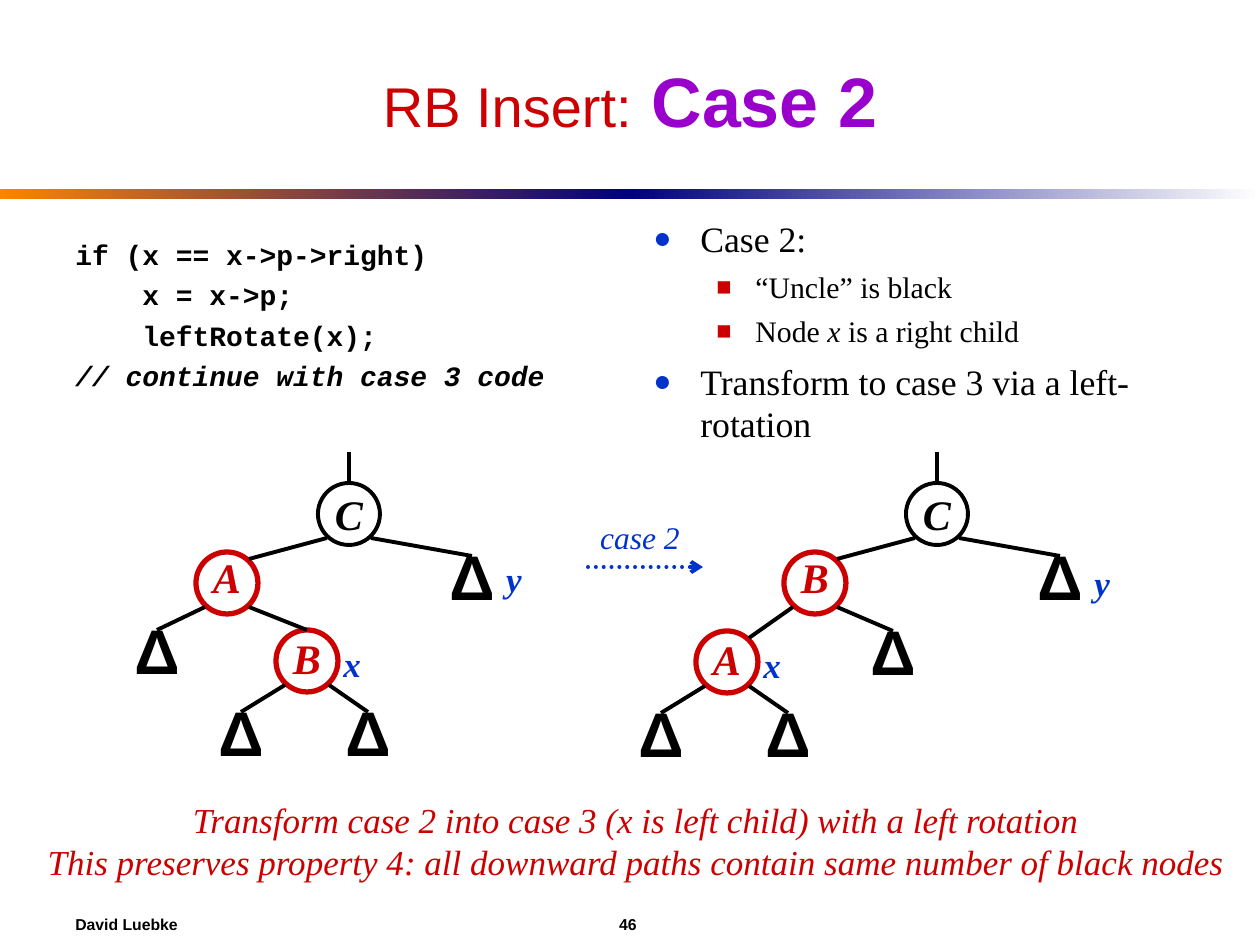
from lxml.etree import SubElement
from pptx import Presentation
from pptx.dml.color import RGBColor
from pptx.enum.dml import MSO_LINE
from pptx.enum.shapes import MSO_CONNECTOR, MSO_SHAPE
from pptx.enum.text import MSO_ANCHOR, MSO_AUTO_SIZE, PP_ALIGN
from pptx.oxml.ns import qn
from pptx.util import Emu, Pt

PX_PER_INCH = 126
DIAMETER = 62
DIAGONAL_X, DIAGONAL_Y = 22, 24
BLACK, WHITE, RED, BLUE, PURPLE = "000000", "FFFFFF", "CC0000", "0033CC", "9900CC"
SERIF, SANS, MONO = "Times New Roman", "Arial", "Courier New"


def px(length):
    return Emu(round(length * 914400 / PX_PER_INCH))


def color(hex_string):
    return RGBColor.from_string(hex_string)


def add_run(paragraph, text, size, font, fill, bold=False, italic=False):
    run = paragraph.add_run()
    run.text = text
    run.font.size = Pt(size)
    run.font.name = font
    run.font.color.rgb = color(fill)
    run.font.bold = bold
    run.font.italic = italic


def add_text(slide, left, top, width, height, wrap=False, anchor=MSO_ANCHOR.MIDDLE):
    """Add an empty text box and return its text frame."""
    frame = slide.shapes.add_textbox(px(left), px(top), px(width), px(height)).text_frame
    frame.word_wrap = wrap
    frame.vertical_anchor = anchor
    return frame


def next_paragraph(frame, space_before=0):
    """Return the unused first paragraph, or a new one with space before it."""
    if not frame.paragraphs[0].runs:
        return frame.paragraphs[0]
    paragraph = frame.add_paragraph()
    paragraph.space_before = Pt(space_before)
    return paragraph


def add_label(slide, x, y, width, text, size, bold=False):
    """Add a blue italic label centred on a point."""
    height = 56
    paragraph = add_text(slide, x - width // 2, y - height // 2, width, height).paragraphs[0]
    paragraph.alignment = PP_ALIGN.CENTER
    add_run(paragraph, text, size, SERIF, BLUE, bold, True)


def add_line(slide, start, end, stroke=BLACK):
    line = slide.shapes.add_connector(
        MSO_CONNECTOR.STRAIGHT, *(px(value) for value in (*start, *end)))
    line.line.color.rgb = color(stroke)
    line.line.width = Pt(2.25)
    SubElement(line._element.spPr, qn("a:effectLst"))
    return line


def add_circle(slide, center, text, size, font, ink, spacing, italic=False, filled=True):
    x, y = center
    circle = slide.shapes.add_shape(
        MSO_SHAPE.OVAL, px(x - DIAMETER // 2), px(y - DIAMETER // 2), px(DIAMETER), px(DIAMETER))
    circle.shadow.inherit = False
    if filled:
        circle.fill.solid()
        circle.fill.fore_color.rgb = color(WHITE)
    else:
        circle.fill.background()
    frame = circle.text_frame
    frame.word_wrap = False
    frame.vertical_anchor = MSO_ANCHOR.MIDDLE
    paragraph = frame.paragraphs[0]
    paragraph.alignment = PP_ALIGN.CENTER
    paragraph.line_spacing = spacing
    add_run(paragraph, text, size, font, ink, True, italic)
    return circle


def add_node(slide, center, key, ink=RED, spacing=1.0):
    node = add_circle(slide, center, key, 24, SERIF, ink, spacing, italic=True)
    node.line.color.rgb = color(ink)
    node.line.width = Pt(3 if ink == RED else 2.25)
    return node


def add_edge(slide, parent, child, child_shape=None):
    """Join a parent's lower diagonal to the child's top, or to its upper right."""
    side = -1 if child[0] < parent[0] else 1
    start = (parent[0] + side * DIAGONAL_X, parent[1] + DIAGONAL_Y)
    if child_shape is None:
        add_line(slide, start, (child[0] + DIAGONAL_X, child[1] - DIAGONAL_Y))
    else:
        edge = add_line(slide, start, (child[0], child[1] - DIAMETER // 2))
        edge.end_connect(child_shape, 0)


def add_subtree(slide, parent, center, filled=True):
    leaf = add_circle(slide, center, "Δ", 36, SANS, BLACK, 0.6, filled=filled)
    leaf.line.fill.background()
    add_edge(slide, parent, center, leaf)


def add_tree(slide, root_x, child_key, x_key, x_center, sibling, x_is_right, y_label):
    """Draw root C, its red child, the red node x below, and all subtrees."""
    root, child = (root_x, 514), (root_x - 122, 583)
    root_node = add_node(slide, root, "C", BLACK)
    stem = add_line(slide, (root_x, 483), (root_x, 452))
    stem.begin_connect(root_node, 0)
    add_node(slide, child, child_key, spacing=0.7)
    x_node = add_node(slide, x_center, x_key, spacing=0.9)
    add_edge(slide, root, child)
    add_edge(slide, child, x_center, x_node if x_is_right else None)
    add_subtree(slide, child, sibling)
    add_subtree(slide, root, (root_x + 123, 587), filled=False)
    x, y = x_center
    add_subtree(slide, x_center, (x - 66, y + 82))
    add_subtree(slide, x_center, (x + 61, y + 82), filled=False)
    add_label(slide, x + 45, y + 2, 42, "x", 20, True)
    add_label(slide, *y_label, 42, "y", 20, True)


def add_rule(slide, left, start, end):
    rule = slide.shapes.add_shape(MSO_SHAPE.RECTANGLE, px(left), px(189), px(630), px(10))
    rule.shadow.inherit = False
    rule.line.fill.background()
    rule.fill.gradient()
    rule.fill.gradient_angle = 0
    for stop, shade in zip(rule.fill.gradient_stops, (start, end)):
        stop.color.rgb = color(shade)


def add_title(slide):
    title = slide.shapes.title
    title.left, title.top, title.width, title.height = px(63), px(32), px(1134), px(136)
    frame = title.text_frame
    frame.auto_size = MSO_AUTO_SIZE.NONE
    frame.vertical_anchor = MSO_ANCHOR.MIDDLE
    paragraph = frame.paragraphs[0]
    paragraph.alignment = PP_ALIGN.CENTER
    add_run(paragraph, "RB Insert:", 32, SANS, RED)
    add_run(paragraph, " ", 40, SANS, RED)
    add_run(paragraph, "Case 2", 40, SANS, PURPLE, True)


def add_code(slide):
    frame = add_text(slide, 63, 231, 557, 230, True, MSO_ANCHOR.TOP)
    for line in ("if (x == x->p->right)", "    x = x->p;", "    leftRotate(x);",
                 "// continue with case 3 code"):
        add_run(next_paragraph(frame, 4), line, 16, MONO, BLACK, True, line.startswith("//"))


def add_bullet(frame, level, runs):
    """Add a bulleted paragraph from (text, italic) runs."""
    mark, mark_color, indent, hanging, size, space = (
        ("●", BLUE, 47, 47, 20.4, 6), ("■", RED, 102, 39, 17, 5))[level]
    paragraph = next_paragraph(frame, space)
    paragraph.level = level
    properties = paragraph._p.get_or_add_pPr()
    properties.set("marL", str(px(indent)))
    properties.set("indent", str(-px(hanging)))
    SubElement(SubElement(properties, qn("a:buClr")), qn("a:srgbClr"), val=mark_color)
    SubElement(properties, qn("a:buSzPct"), val="85000")
    SubElement(properties, qn("a:buFont"), typeface=SERIF)
    SubElement(properties, qn("a:buChar"), char=mark)
    for text, italic in runs:
        add_run(paragraph, text, size, SERIF, BLACK, italic=italic)


def add_bullets(slide):
    frame = add_text(slide, 641, 211, 557, 242, True, MSO_ANCHOR.TOP)
    add_bullet(frame, 0, [("Case 2:", False)])
    add_bullet(frame, 1, [("“Uncle” is black", False)])
    add_bullet(frame, 1, [("Node ", False), ("x", True), (" is a right child", False)])
    add_bullet(frame, 0, [("Transform to case 3 via a left-rotation", False)])


def add_transition(slide):
    add_label(slide, 640, 537, 120, "case 2", 18)
    arrow = add_line(slide, (588, 567), (703, 567), BLUE)
    arrow.line.dash_style = MSO_LINE.ROUND_DOT
    stroke = arrow.line._get_or_add_ln()
    stroke.set("cap", "rnd")
    SubElement(stroke, qn("a:tailEnd"), type="arrow")


def add_summary(slide):
    frame = add_text(slide, 33, 792, 1206, 97)
    for line in ("Transform case 2 into case 3 (x is left child) with a left rotation",
                 "This preserves property 4: all downward paths contain same number of black nodes"):
        paragraph = next_paragraph(frame)
        paragraph.alignment = PP_ALIGN.CENTER
        add_run(paragraph, line, 20, SERIF, RED, italic=True)


def add_footer(slide):
    for left, width, text, alignment in ((63, 200, "David Luebke", PP_ALIGN.LEFT),
                                         (598, 60, "46", PP_ALIGN.CENTER)):
        paragraph = add_text(slide, left, 903, width, 42, True).paragraphs[0]
        paragraph.alignment = alignment
        add_run(paragraph, text, 9, SANS, BLACK, True)


def main():
    deck = Presentation()
    deck.slide_width, deck.slide_height = px(1260), px(945)
    slide = deck.slides.add_slide(deck.slide_layouts[5])
    add_rule(slide, 0, "FF8200", "000082")
    add_rule(slide, 630, "000082", WHITE)
    add_title(slide)
    add_code(slide)
    add_bullets(slide)
    add_tree(slide, 349, "A", "B", (307, 661), (157, 661), True, (514, 578))
    add_transition(slide)
    add_tree(slide, 937, "B", "A", (727, 662), (893, 662), False, (1102, 582))
    add_summary(slide)
    add_footer(slide)
    deck.save("out.pptx")


if __name__ == "__main__":
    main()
